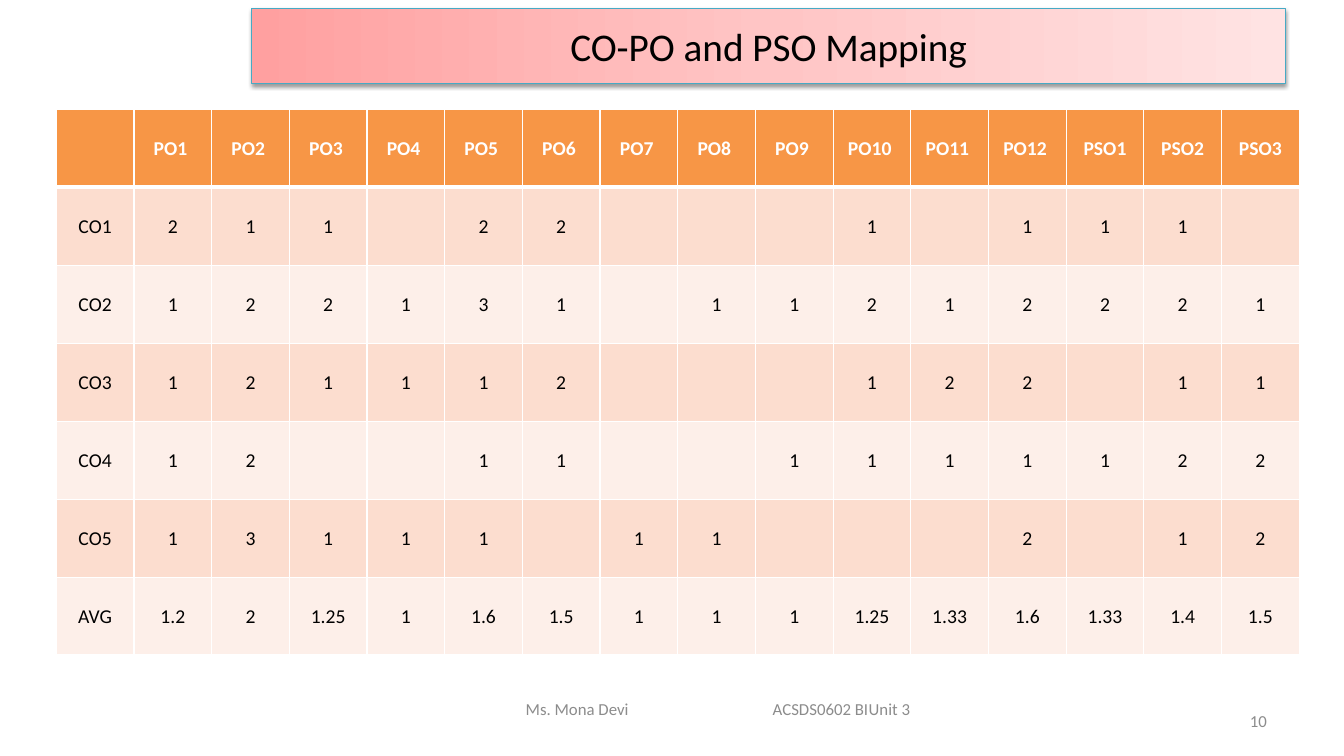
from copy import deepcopy

from pptx import Presentation, util as u
from pptx.dml.color import RGBColor
from pptx.enum import shapes, text
from pptx.oxml import parse_xml
from pptx.oxml.ns import nsdecls, qn

COLORS = {
    "black": "000000", "white": "FFFFFF", "grey": "8C8C8C",
    "header": "F79646", "band_dark": "FCDDCF", "band_light": "FDEFE9",
    "title_line": "46AAC5",
    "grad_start": "FFA0A0", "grad_mid": "FFC5C5", "grad_end": "FFE3E3",
}
COLS, ROWS = 80, 90  # layout grid over the whole slide

HEADER = ["", *(f"PO{i} " for i in range(1, 13)), "PSO1", "PSO2", "PSO3"]
# One entry per column, "-" for an empty cell
MAPPING = [row.split() for row in (
    "CO1 2 1 1 - 2 2 - - - 1 - 1 1 1 -",
    "CO2 1 2 2 1 3 1 - 1 1 2 1 2 2 2 1",
    "CO3 1 2 1 1 1 2 - - - 1 2 2 - 1 1",
    "CO4 1 2 - - 1 1 - - 1 1 1 1 1 2 2",
    "CO5 1 3 1 1 1 - 1 1 - - - 2 - 1 2",
    "AVG 1.2 2 1.25 1 1.6 1.5 1 1 1 1.25 1.33 1.6 1.33 1.4 1.5",
)]


def rgb(name):
    return RGBColor.from_string(COLORS[name])


class Deck:
    font = "Calibri"

    def __init__(self):
        self.prs = Presentation()
        self.prs.slide_width, self.prs.slide_height = u.Inches(13.33), u.Inches(7.5)
        self.s = self.prs.slides.add_slide(self.prs.slide_layouts[6])

    def box(self, col, row, width, height):
        x, y = self.prs.slide_width / COLS, self.prs.slide_height / ROWS
        return [round(v) for v in (col * x, row * y, width * x, height * y)]

    def add_text(self, p, words, size, color, align, bold=False):
        p.alignment = align
        r = p.add_run()
        r.text = words
        r.font.name, r.font.size, r.font.bold = self.font, u.Pt(size), bold
        r.font.color.rgb = rgb(color)

    def label(self, area, words, align, indent=0, tabs=()):
        tf = self.s.shapes.add_textbox(*self.box(*area)).text_frame
        tf.word_wrap = True
        tf.vertical_anchor = text.MSO_ANCHOR.MIDDLE
        p = tf.paragraphs[0]
        if tabs:
            pPr = p._p.get_or_add_pPr()
            pPr.set("marL", str(u.Inches(indent)))
            stops = "".join(f'<a:tab pos="{u.Inches(t)}" algn="l"/>' for t in tabs)
            pPr.append(parse_xml(f'<a:tabLst {nsdecls("a")}>{stops}</a:tabLst>'))
        self.add_text(p, words, 12, "grey", align)

    def banner(self, area, words):
        sp = self.s.shapes.add_shape(shapes.MSO_SHAPE.RECTANGLE, *self.box(*area))
        sp.line.color.rgb, sp.line.width = rgb("title_line"), u.Pt(0.75)
        # Three-stop gradient, left to right
        sp.fill.gradient()
        sp.fill.gradient_angle = 0
        spPr = sp._element.spPr
        stops = spPr.find(".//" + qn("a:gsLst"))
        stops.append(deepcopy(stops[0]))
        names = ("grad_start", "grad_mid", "grad_end")
        for i, (stop, name) in enumerate(zip(sp.fill.gradient_stops, names)):
            stop.position, stop.color.rgb = i / 2, rgb(name)
        # Soft shadow straight below
        sp.shadow.inherit = False
        spPr.find(qn("a:effectLst")).append(parse_xml(
            f'<a:outerShdw {nsdecls("a")} blurRad="{u.Pt(3.1)}" dist="{u.Pt(1.6)}" '
            f'dir="5400000" rotWithShape="0"><a:srgbClr val="{COLORS["black"]}">'
            '<a:alpha val="38000"/></a:srgbClr></a:outerShdw>'))
        sp.text_frame.vertical_anchor = text.MSO_ANCHOR.MIDDLE
        self.add_text(sp.text_frame.paragraphs[0], words, 28, "black", text.PP_ALIGN.CENTER)

    def border(self, cell, side, width):
        cell._tc.get_or_add_tcPr().append(parse_xml(
            f'<a:ln{side} {nsdecls("a")} w="{u.Pt(width)}"><a:solidFill>'
            f'<a:srgbClr val="{COLORS["white"]}"/></a:solidFill></a:ln{side}>'))

    def table(self, area, rows):
        left, top, width, height = self.box(*area)
        n_rows, n_cols = len(rows), len(rows[0])
        tbl = self.s.shapes.add_table(n_rows, n_cols, left, top, width, height).table
        tbl.horz_banding = False
        for column in tbl.columns:
            column.width = round(width / n_cols)
        for i, values in enumerate(rows):
            tbl.rows[i].height = round(height / n_rows)
            head = i == 0
            fill = "header" if head else "band_dark" if i % 2 else "band_light"
            for j, value in enumerate(values):
                cell = tbl.cell(i, j)
                thick = {"T": 3 if i == 1 else 1, "B": 3 if head else 1}
                for side in "LRTB":
                    self.border(cell, side, thick.get(side, 1))
                cell.fill.solid()
                cell.fill.fore_color.rgb = rgb(fill)
                cell.vertical_anchor = text.MSO_ANCHOR.MIDDLE
                cell.margin_left = cell.margin_right = cell.margin_top = u.Inches(0.01)
                cell.margin_bottom = 0
                if value not in ("", "-"):
                    self.add_text(cell.text_frame.paragraphs[0], value, 14,
                                  "white" if head else "black", text.PP_ALIGN.CENTER, head)


def main():
    deck = Deck()
    # Page number
    deck.label((57.33, 83.4, 18.67, 4.8), "10", text.PP_ALIGN.RIGHT)
    # Mapping table
    deck.table((3.35, 13, 74, 65), [HEADER, *MAPPING])
    # Title
    deck.banner((15, 1, 61.5, 9), "CO-PO and PSO Mapping")
    # Footer
    deck.label((25, 82, 33, 4.8), "Ms. Mona Devi\tACSDS0602 BI\tUnit 3",
               text.PP_ALIGN.LEFT, indent=0.95, tabs=(2.45, 3.89))
    deck.prs.save("out.pptx")


if __name__ == "__main__":
    main()
